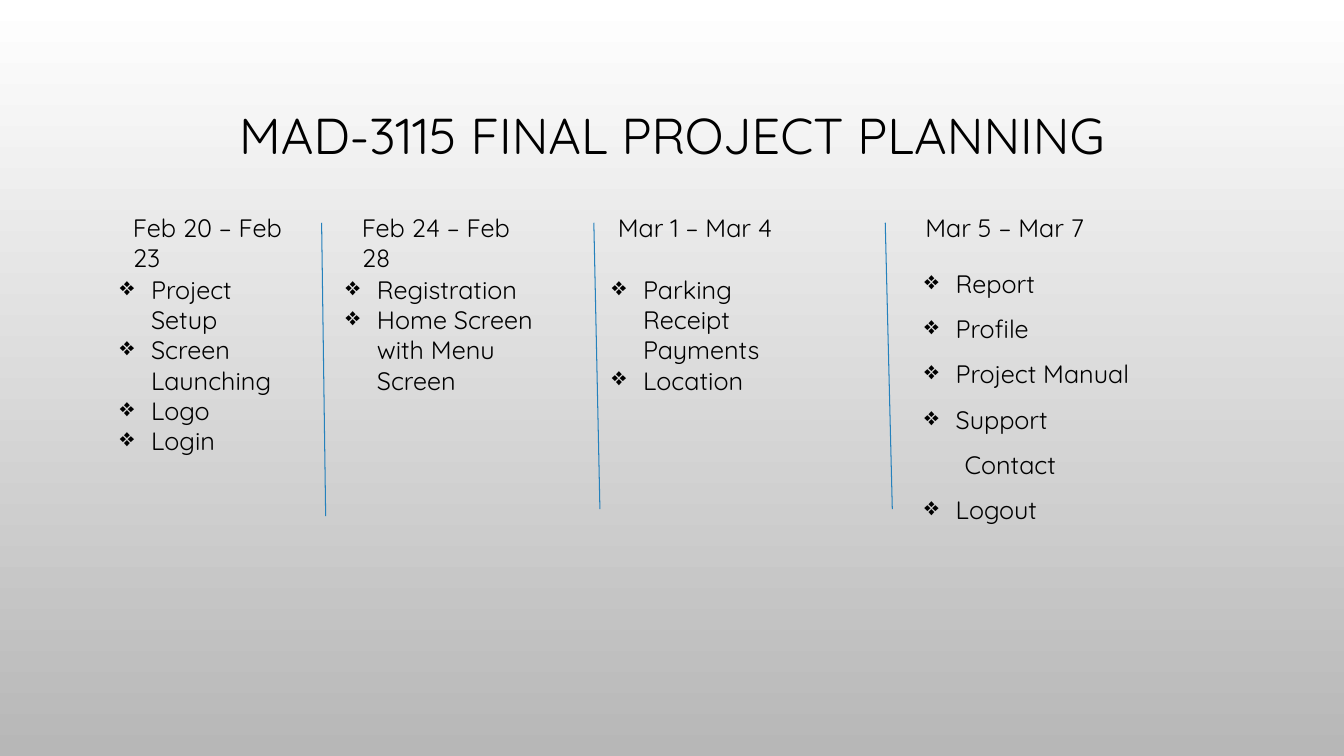
from dataclasses import dataclass

from lxml import etree
from pptx import Presentation
from pptx import util as u
from pptx.dml.color import RGBColor
from pptx.enum import shapes, text
from pptx.oxml import ns


@dataclass(frozen=True)
class Theme:
    font: str = "Quicksand"
    ink: str = "000000"
    rule: str = "2581BC"
    background: tuple = ("FFFFFF", "B7B7B7")
    title_size: int = 36
    body_size: int = 18
    rule_width: float = 0.75


THEME = Theme()
BULLET = "❖"
BULLET_INDENT = 0.31
DATE_TOP = 2.06
RULE_TOP = 2.21

# Each phase: dates and their (left, width), tasks and their (left, top, width, height), spacing
PHASES = [
    ("Feb 20 – Feb 23", (1.22, 1.91),
     ["Project Setup", "Screen Launching", "Logo", "Login"], (1.09, 2.67, 1.78, 1.92), 1.0),
    ("Feb 24 – Feb 28", (3.49, 1.91),
     ["Registration", "Home Screen with Menu Screen"], (3.33, 2.67, 2.44, 1.62), 1.0),
    ("Mar 1 – Mar 4", (6.03, 1.81),
     ["Parking Receipt Payments", "Location"], (5.97, 2.67, 2.2, 1.31), 1.0),
    ("Mar 5 – Mar 7", (9.08, 2.14),
     ["Report", "Profile", "Project Manual", "Support", "Contact", "Logout"],
     (9.07, 2.46, 2.3, 1.77), 1.5),
]
CONTINUATION_INDENTS = {"Contact": 0.4}  # second line of "Support", without a bullet
RULES = [(3.19, 3.23, 5.12), (5.89, 5.95, 5.05), (8.78, 8.85, 5.05)]  # top x, bottom x, bottom y


def write(paragraph, content, *, size=THEME.body_size, align=text.PP_ALIGN.LEFT, spacing=1.0):
    paragraph.alignment = align
    paragraph.line_spacing = spacing
    run = paragraph.add_run()
    run.text = content
    run.font.name = THEME.font
    run.font.size = u.Pt(size)
    run.font.color.rgb = RGBColor.from_string(THEME.ink)


def indent(paragraph, left, bullet=None):
    """Indent a paragraph, hanging its first line when it has a bullet."""
    properties = paragraph._p.get_or_add_pPr()
    properties.set("marL", str(u.Inches(left)))
    properties.set("indent", str(-u.Inches(left) if bullet else 0))
    if bullet:
        color = etree.SubElement(properties, ns.qn("a:buClr"))
        etree.SubElement(color, ns.qn("a:srgbClr"), val=THEME.ink)
        etree.SubElement(properties, ns.qn("a:buChar"), char=bullet)


def add_text_box(slide, left, top, width, height):
    shape = slide.shapes.add_textbox(*map(u.Inches, (left, top, width, height)))
    shape.text_frame.word_wrap = True
    return shape.text_frame


def add_dates(slide, dates, left, width):
    frame = add_text_box(slide, left, DATE_TOP, width, 0.4)
    write(frame.paragraphs[0], dates)


def add_tasks(slide, tasks, box, spacing):
    frame = add_text_box(slide, *box)
    for index, task in enumerate(tasks):
        paragraph = frame.add_paragraph() if index else frame.paragraphs[0]
        write(paragraph, task, spacing=spacing)
        if task in CONTINUATION_INDENTS:
            indent(paragraph, CONTINUATION_INDENTS[task])
        else:
            indent(paragraph, BULLET_INDENT, BULLET)


def add_rule(slide, top_x, bottom_x, bottom_y):
    ends = map(u.Inches, (top_x, RULE_TOP, bottom_x, bottom_y))
    connector = slide.shapes.add_connector(shapes.MSO_CONNECTOR.STRAIGHT, *ends)
    connector.line.color.rgb = RGBColor.from_string(THEME.rule)
    connector.line.width = u.Pt(THEME.rule_width)
    etree.SubElement(connector._element.spPr, ns.qn("a:effectLst"))


def set_background(slide):
    fill = slide.background.fill
    fill.gradient()
    fill.gradient_angle = 270
    for position, (stop, color) in enumerate(zip(fill.gradient_stops, THEME.background)):
        stop.position = position
        stop.color.rgb = RGBColor.from_string(color)


def set_title(slide, content):
    title = slide.shapes.title
    title.left, title.top, title.width, title.height = map(u.Inches, (1, 0.68, 11.33, 1.38))
    frame = title.text_frame
    frame.word_wrap = True
    frame.auto_size = text.MSO_AUTO_SIZE.NONE
    frame.vertical_anchor = text.MSO_ANCHOR.MIDDLE
    write(frame.paragraphs[0], content, size=THEME.title_size,
          align=text.PP_ALIGN.CENTER, spacing=0.9)


def main():
    presentation = Presentation()
    presentation.slide_width = u.Inches(13.33)
    presentation.slide_height = u.Inches(7.5)
    slide = presentation.slides.add_slide(presentation.slide_layouts.get_by_name("Title Only"))
    set_background(slide)
    set_title(slide, "MAD-3115 FINAL PROJECT PLANNING")
    for dates, (left, width), tasks, box, spacing in PHASES:
        add_dates(slide, dates, left, width)
        add_tasks(slide, tasks, box, spacing)
    for rule in RULES:
        add_rule(slide, *rule)
    presentation.save("out.pptx")


if __name__ == "__main__":
    main()
